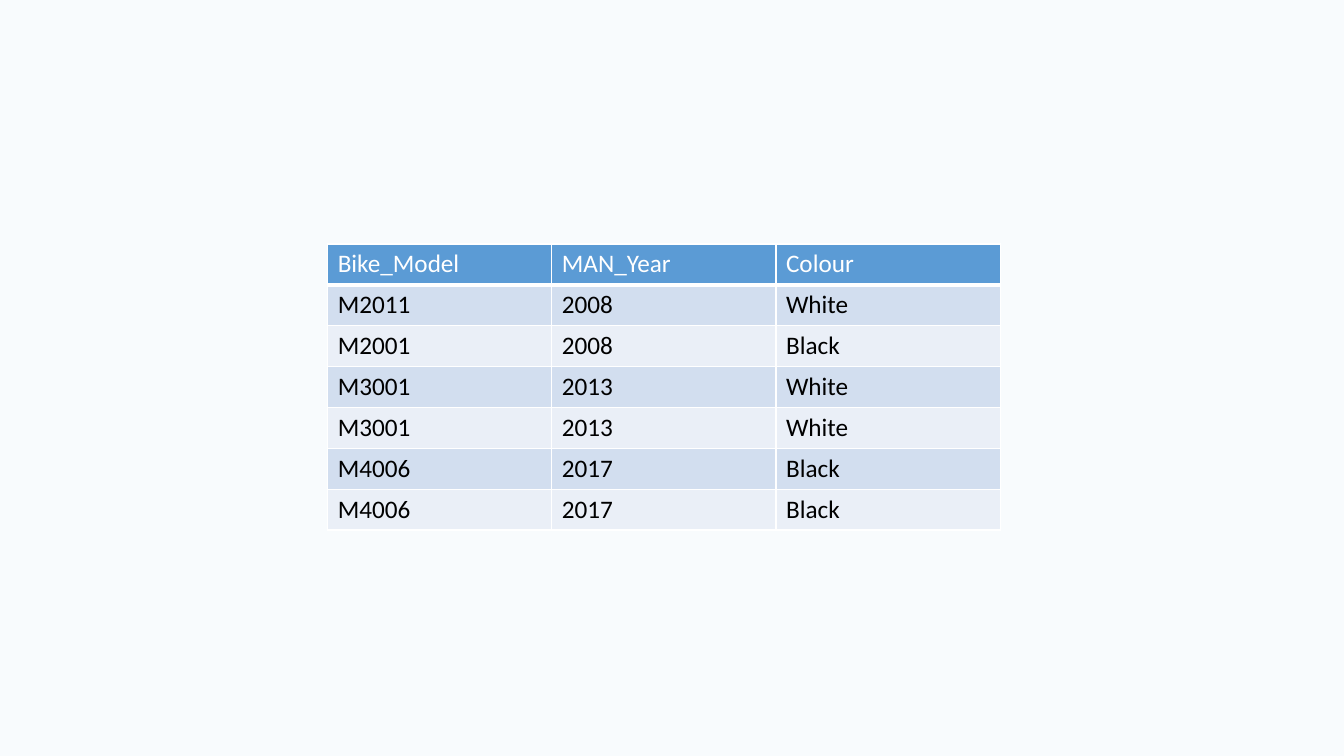
import pptx
import pptx.dml.color
import pptx.oxml
import pptx.oxml.ns
import pptx.util
from pptx.util import Inches

BIKES = [
    ("Bike_Model", "MAN_Year", "Colour"),
    ("M2011", "2008", "White"),
    ("M2001", "2008", "Black"),
    ("M3001", "2013", "White"),
    ("M3001", "2013", "White"),
    ("M4006", "2017", "Black"),
    ("M4006", "2017", "Black"),
]


def colour(hex_code):
    return pptx.dml.color.RGBColor.from_string(hex_code)


class BikeSlide:
    font = "Calibri"
    size = 18
    backdrop = "F8FBFD"
    header_fill = "5B9BD5"
    band_fills = ("D2DEEF", "EAEFF7")
    header_text = "FFFFFF"
    body_text = "000000"
    rule = "FFFFFF"

    def __init__(self, deck):
        self.slide = deck.slides.add_slide(deck.slide_layouts[6])
        fill = self.slide.background.fill
        fill.solid()
        fill.fore_color.rgb = colour(self.backdrop)

    def borders(self, cell, bottom):
        properties = cell._tc.get_or_add_tcPr()
        widths = {"lnL": 1, "lnR": 1, "lnT": 1, "lnB": bottom}
        # Border lines come before the fill in the cell properties
        for position, (side, width) in enumerate(widths.items()):
            line = pptx.oxml.parse_xml(
                f'<a:{side} {pptx.oxml.ns.nsdecls("a")} w="{pptx.util.Pt(width)}">'
                f'<a:solidFill><a:srgbClr val="{self.rule}"/></a:solidFill></a:{side}>'
            )
            properties.insert(position, line)

    def cell(self, cell, text, fill, text_colour, bottom):
        cell.text_frame.text = text
        font = cell.text_frame.paragraphs[0].runs[0].font
        font.name = self.font
        font.size = pptx.util.Pt(self.size)
        font.bold = False
        font.color.rgb = colour(text_colour)
        cell.fill.solid()
        cell.fill.fore_color.rgb = colour(fill)
        self.borders(cell, bottom)

    def table(self, rows, left, top, width, row_height):
        columns = len(rows[0])
        grid = self.slide.shapes.add_table(
            len(rows), columns, Inches(left), Inches(top),
            Inches(width), Inches(row_height * len(rows)),
        ).table
        for r, row in enumerate(rows):
            header = r == 0
            fill = self.header_fill if header else self.band_fills[(r - 1) % 2]
            text_colour = self.header_text if header else self.body_text
            for c, text in enumerate(row):
                self.cell(grid.cell(r, c), text, fill, text_colour, 3 if header else 1)


def main():
    deck = pptx.Presentation()
    deck.slide_width, deck.slide_height = Inches(13.33), Inches(7.5)

    # Bike stock table
    BikeSlide(deck).table(BIKES, left=3.25, top=2.42, width=6.67, row_height=0.405)

    deck.save("out.pptx")


if __name__ == "__main__":
    main()
